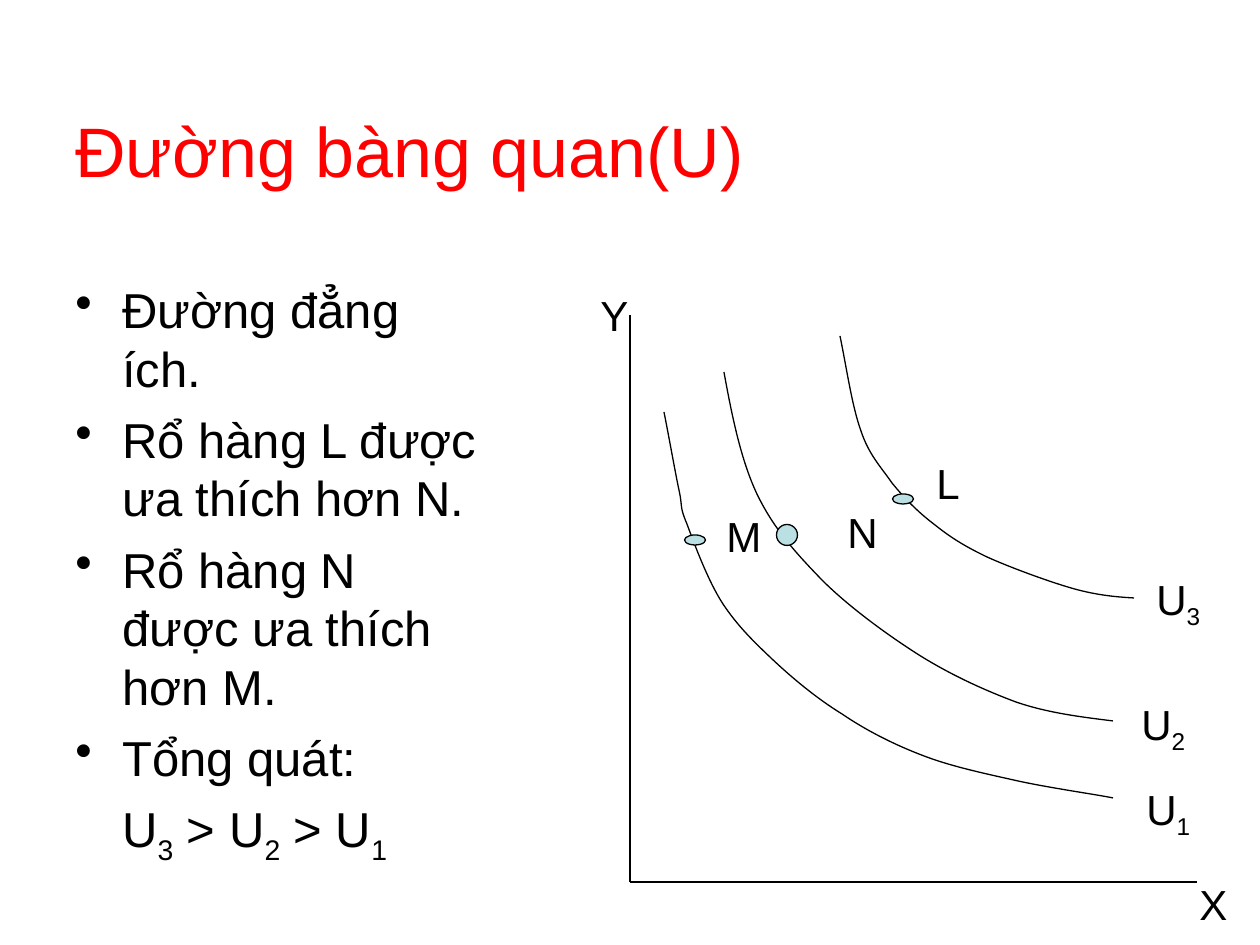
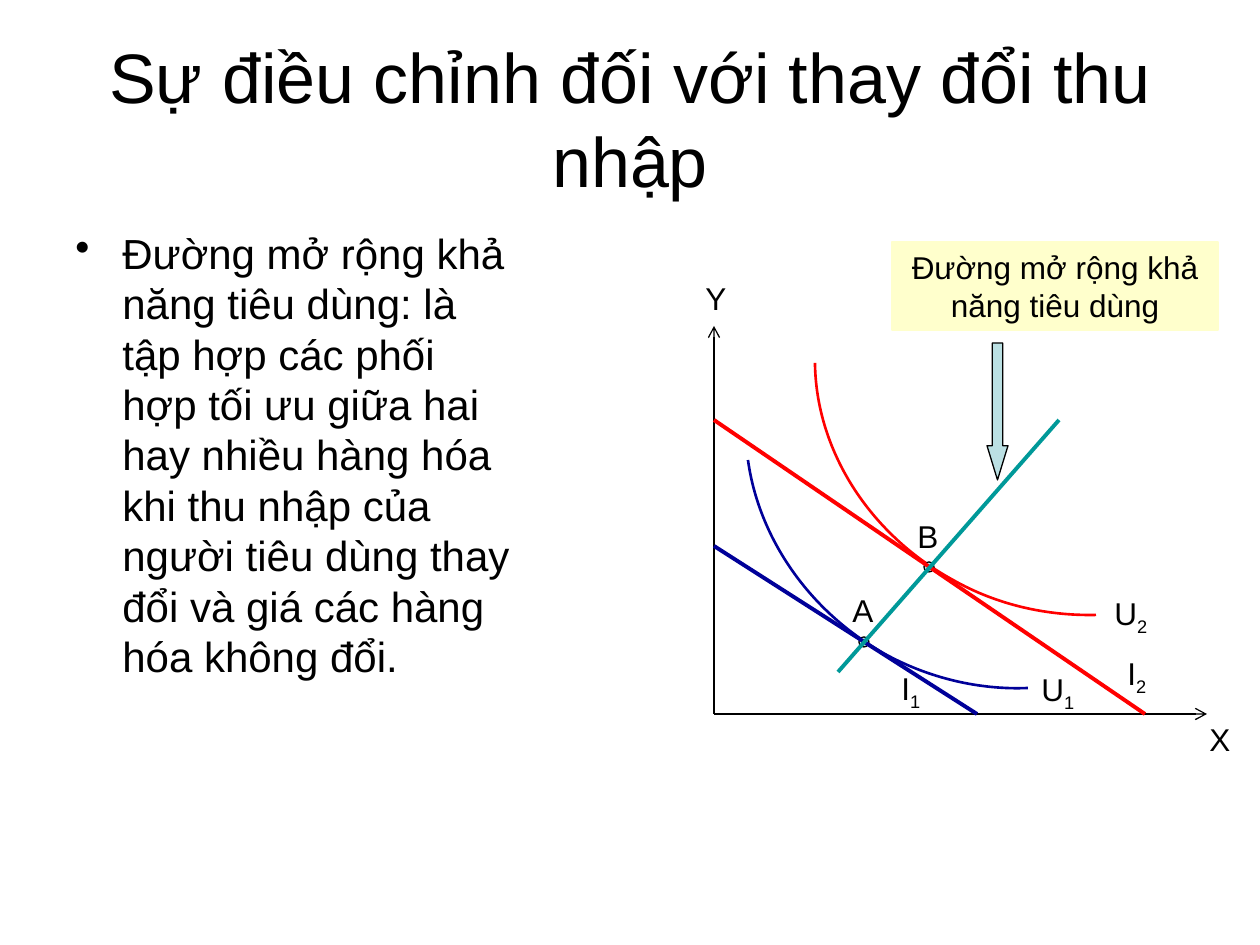
from pptx import Presentation
from pptx.dml.color import RGBColor
from pptx.enum.shapes import MSO_CONNECTOR, MSO_SHAPE
from pptx.enum.text import MSO_ANCHOR, PP_ALIGN
from pptx.oxml.ns import qn
from pptx.util import Pt
from lxml.etree import SubElement

PX = 914400 / 126
FONT = "Arial"
BLACK = RGBColor(0x00, 0x00, 0x00)
RED = RGBColor(0xFF, 0x00, 0x00)
NAVY = RGBColor(0x00, 0x00, 0x99)
TEAL = RGBColor(0x00, 0x99, 0x99)
PALE_BLUE = RGBColor(0xBB, 0xE0, 0xE3)
PALE_YELLOW = RGBColor(0xFF, 0xFF, 0xCC)
TITLE_SIZE = 40
BODY_INDENT = 47


def emu(*lengths):
    return [round(length * PX) for length in lengths]


def add_text(slide, box, size, lines, color=BLACK, align=PP_ALIGN.LEFT, anchor=MSO_ANCHOR.TOP):
    """Add a text box; the character after each underscore becomes a subscript."""
    shape = slide.shapes.add_textbox(*emu(*box))
    frame = shape.text_frame
    frame.word_wrap = True
    frame.vertical_anchor = anchor
    for index, line in enumerate(lines):
        paragraph = frame.paragraphs[0] if index == 0 else frame.add_paragraph()
        paragraph.alignment = align
        paragraph.font.name = FONT
        paragraph.font.size = Pt(size)
        paragraph.font.color.rgb = color
        plain, *subscripted = line.split("_")
        paragraph.add_run().text = plain
        for part in subscripted:
            subscript = paragraph.add_run()
            subscript.text = part[0]
            subscript._r.get_or_add_rPr().set("baseline", "-25000")
            if part[1:]:
                paragraph.add_run().text = part[1:]
    return shape


presentation = Presentation()
presentation.slide_width, presentation.slide_height = emu(1260, 945)
blank = presentation.slide_layouts[6]
indifference = presentation.slides.add_slide(blank)
income = presentation.slides.add_slide(blank)

# Titles
add_text(indifference, (63, 38, 1144, 224), TITLE_SIZE, ["Đường bàng quan(U)"],
         RED, anchor=MSO_ANCHOR.MIDDLE)
add_text(income, (63, 38, 1134, 158), TITLE_SIZE, ["Sự điều chỉnh đối với thay đổi thu nhập"],
         align=PP_ALIGN.CENTER, anchor=MSO_ANCHOR.MIDDLE)

# Body text: a line that is a formula has the indent but no bullet
bodies = [
    (indifference, (63, 273, 431, 624), 28, 7, [
        "Đường đẳng ích.",
        "Rổ hàng L được ưa thích hơn N.",
        "Rổ hàng N được ưa thích hơn M.",
        "Tổng quát:",
        "U_3 > U_2 > U_1",
    ]),
    (income, (63, 221, 462, 483), 24, 6, [
        "Đường mở rộng khả năng tiêu dùng: là tập hợp các phối hợp tối ưu giữa hai hay nhiều "
        "hàng hóa khi thu nhập của người tiêu dùng thay đổi và giá các hàng hóa không đổi.",
    ]),
]
for slide, box, size, space_before, lines in bodies:
    body = add_text(slide, box, size, lines)
    for paragraph, line in zip(body.text_frame.paragraphs, lines):
        paragraph.space_before = Pt(space_before)
        properties = paragraph._p.get_or_add_pPr()
        indent = emu(BODY_INDENT)[0]
        properties.set("marL", str(indent))
        if "_" in line:
            properties.set("indent", "0")
        else:
            properties.set("indent", str(-indent))
            bullet = SubElement(properties, qn("a:buChar"))
            bullet.set("char", "•")
            properties.append(properties.find(qn("a:defRPr")))

# Marked bundles, added first so that every point is known by its centre
basket_points = [
    (indifference, 695, 540, 21, 10),
    (indifference, 903, 499, 21, 10),
    (indifference, 787, 535, 21, 21),
    (income, 929, 567, 10, 10),
    (income, 864, 642, 10, 10),
]

# Axes, budget lines and the expansion path
straight_lines = [
    (indifference, (635 - 5, 882), (630, 315), BLACK, 0.75, False),
    (indifference, (630, 882), (1197, 882), BLACK, 0.75, False),
    (income, (714, 714), (714, 326), BLACK, 0.75, True),
    (income, (714, 714), (1207, 714), BLACK, 0.75, True),
    (income, (714, 546), (977, 714), NAVY, 2.25, False),
    (income, (714, 420), (1145, 714), RED, 2.25, False),
    (income, (838, 672), (1059, 420), TEAL, 2.25, False),
]
straight_lines[0] = (indifference, (630, 882), (630, 315), BLACK, 0.75, False)

# Indifference curves: a start point, then three Bézier points per segment
curves = [
    (indifference, BLACK, 0.75, [
        (664, 412), (670, 442), (675, 471), (679, 490), (683, 508), (679, 505), (687, 524),
        (694, 543), (708, 581), (723, 604), (737, 625), (752, 640), (771, 658),
        (791, 677), (816, 698), (842, 714), (867, 731), (895, 745), (924, 756),
        (953, 767), (987, 774), (1018, 781), (1050, 788), (1099, 795), (1113, 798)]),
    (indifference, BLACK, 0.75, [
        (724, 372), (732, 416), (741, 460), (757, 494), (774, 529), (795, 552), (822, 580),
        (848, 606), (886, 634), (919, 655), (951, 675), (984, 690), (1016, 702),
        (1048, 713), (1081, 717), (1113, 721)]),
    (indifference, BLACK, 0.75, [
        (840, 336), (847, 370), (852, 406), (861, 431), (869, 455), (881, 467), (892, 483),
        (905, 499), (919, 513), (935, 525), (950, 537), (964, 546), (987, 557),
        (1009, 567), (1047, 581), (1071, 588), (1095, 595), (1115, 597), (1134, 598)]),
    (income, RED, 1.5, [
        (1096, 615), (1047, 616), (997, 605), (953, 580), (869, 534), (816, 450), (815, 363)]),
    (income, NAVY, 1.5, [
        (1028, 688), (979, 690), (929, 678), (885, 654), (810, 612), (759, 539), (748, 460)]),
]
for slide, color, width, points in curves:
    builder = slide.shapes.build_freeform(*points[0], scale=PX)
    builder.add_line_segments(points[1:], close=False)
    curve = builder.convert_to_shape()
    curve.shadow.inherit = False
    curve.fill.background()
    curve.line.color.rgb = color
    curve.line.width = Pt(width)
    outline = curve._element.find(".//" + qn("a:path"))
    segments = outline.findall(qn("a:lnTo"))
    for start in range(0, len(segments), 3):
        bezier = SubElement(outline, qn("a:cubicBezTo"))
        for segment in segments[start:start + 3]:
            bezier.append(segment[0])
            outline.remove(segment)

for slide, center_x, center_y, width, height in basket_points:
    point = slide.shapes.add_shape(
        MSO_SHAPE.OVAL, *emu(center_x - width / 2, center_y - height / 2, width, height))
    point.shadow.inherit = False
    point.fill.solid()
    point.fill.fore_color.rgb = PALE_BLUE
    point.line.color.rgb = BLACK
    point.line.width = Pt(0.75)

for slide, start, end, color, width, has_arrow in straight_lines:
    connector = slide.shapes.add_connector(MSO_CONNECTOR.STRAIGHT, *emu(*start, *end))
    connector.line.color.rgb = color
    connector.line.width = Pt(width)
    if has_arrow:
        SubElement(connector.line._get_or_add_ln(), qn("a:tailEnd")).set("type", "arrow")
    SubElement(connector._element.spPr, qn("a:effectLst"))

# Labels of axes, curves and points
label_groups = [
    (indifference, 24, 73, 63, [
        ("Y", 588, 283), ("X", 1187, 872), ("U_1", 1134, 777), ("U_2", 1129, 692),
        ("U_3", 1144, 567), ("M", 714, 504), ("L", 924, 451), ("N", 835, 500)]),
    (income, 18, 63, 50, [
        ("U_2", 1102, 588), ("U_1", 1029, 664), ("I_2", 1115, 648), ("I_1", 889, 663),
        ("A", 840, 585), ("B", 905, 511), ("Y", 693, 273), ("X", 1197, 714)]),
]
for slide, size, width, height, labels in label_groups:
    for text, left, top in labels:
        add_text(slide, (left, top, width, height), size, [text])

# Callout for the expansion path
callout = add_text(income, (892, 242, 326, 88), 18, ["Đường mở rộng khả năng tiêu dùng"],
                   align=PP_ALIGN.CENTER)
callout.fill.solid()
callout.fill.fore_color.rgb = PALE_YELLOW
callout.line.color.rgb = PALE_YELLOW
callout.line.width = Pt(0.75)

arrow = income.shapes.add_shape(MSO_SHAPE.DOWN_ARROW, *emu(987, 343, 21, 137))
arrow.adjustments[0] = 0.5
arrow.adjustments[1] = 1.63
arrow.shadow.inherit = False
arrow.fill.solid()
arrow.fill.fore_color.rgb = PALE_BLUE
arrow.line.color.rgb = BLACK
arrow.line.width = Pt(0.75)

presentation.save("out.pptx")
